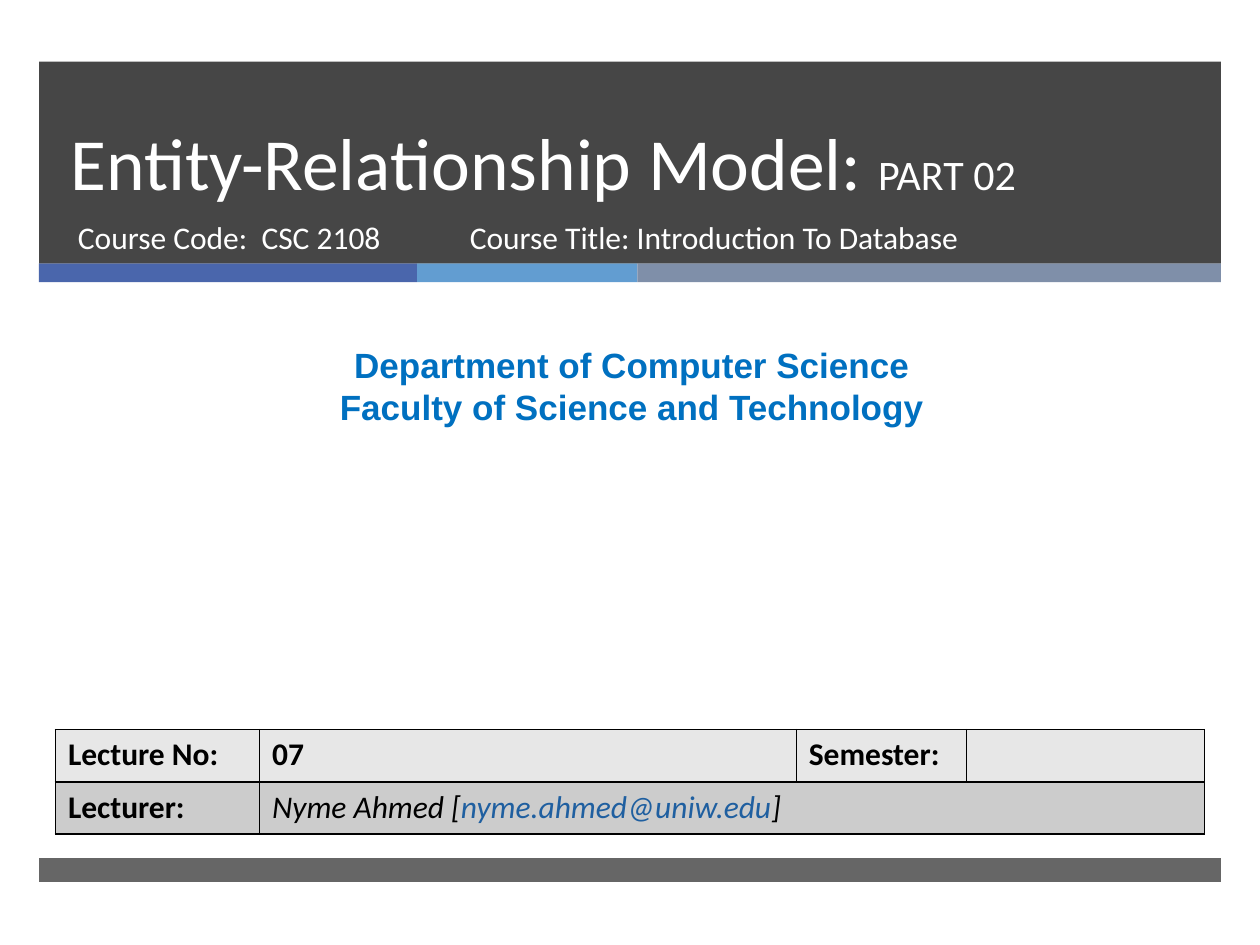
from dataclasses import dataclass

from lxml.etree import SubElement
from pptx import Presentation
from pptx.dml.color import RGBColor
from pptx.enum.shapes import MSO_SHAPE
from pptx.enum.text import MSO_ANCHOR, PP_ALIGN
from pptx.oxml.ns import qn
from pptx.util import Inches, Pt


@dataclass(frozen=True)
class Theme:
    dark: str = "262626"
    white: str = "FFFFFF"
    black: str = "000000"
    heading: str = "0070C0"
    link: str = "1F5FA0"
    accents: tuple = ("4A66AC", "629DD1", "7F8FA9")
    row_fills: tuple = ("E7E7E7", "CCCCCC")
    body_font: str = "Calibri"
    heading_font: str = "Arial"
    title_size: int = 42
    part_size: int = 24
    heading_size: int = 20
    body_size: int = 18


THEME = Theme()


def style(font, color, size=THEME.body_size, name=THEME.body_font, bold=False):
    font.name, font.size, font.bold = name, Pt(size), bold
    font.color.rgb = RGBColor.from_string(color)


def add_bar(slide, left, top, width, height, color, opacity=100):
    """Add a borderless rectangle; opacity is in percent."""
    bar = slide.shapes.add_shape(
        MSO_SHAPE.RECTANGLE, Inches(left), Inches(top), Inches(width), Inches(height))
    bar.shadow.inherit = False
    bar.line.fill.background()
    bar.fill.solid()
    bar.fill.fore_color.rgb = RGBColor.from_string(color)
    if opacity < 100:
        color_element = bar._element.spPr.find(f"{qn('a:solidFill')}/{qn('a:srgbClr')}")
        SubElement(color_element, qn("a:alpha"), val=str(opacity * 1000))


def add_text_box(slide, left, top, width, height, anchor=MSO_ANCHOR.TOP):
    box = slide.shapes.add_textbox(
        Inches(left), Inches(top), Inches(width), Inches(height))
    frame = box.text_frame
    frame.word_wrap = True
    frame.vertical_anchor = anchor
    return frame


def add_header(slide, left, top, width, height):
    """Dark title band with the course details along its lower edge."""
    add_bar(slide, left, top, width, height, THEME.dark, 85)

    title = add_text_box(slide, left + 0.15, top, 8.54, 1.19, MSO_ANCHOR.BOTTOM)
    paragraph = title.paragraphs[0]
    paragraph.line_spacing = Pt(46)
    for text, size in (("Entity-Relationship Model: ", THEME.title_size),
                       ("PART 02", THEME.part_size)):
        run = paragraph.add_run()
        run.text = text
        style(run.font, THEME.white, size)

    details = (("Course Code:  CSC 2108", 0.21, 3.05),
               ("Course Title: Introduction To Database", 3.32, 4.55))
    for text, offset, detail_width in details:
        paragraph = add_text_box(
            slide, left + offset, top + 1.19, detail_width, 0.53).paragraphs[0]
        paragraph.text = text
        style(paragraph.font, THEME.white)


def add_accent_strip(slide, left, top, width, height):
    first, second = 3, 1.75
    for color, part in zip(THEME.accents, (first, second, width - first - second)):
        add_bar(slide, left, top, part, height, color)
        left += part


def add_department(slide, left, top, width, height):
    frame = add_text_box(slide, left, top, width, height)
    frame.text = "Department of Computer Science\nFaculty of Science and Technology"
    for paragraph in frame.paragraphs:
        paragraph.alignment = PP_ALIGN.CENTER
        style(paragraph.font, THEME.heading, THEME.heading_size,
              THEME.heading_font, bold=True)


def add_borders(cell):
    properties = cell._tc.get_or_add_tcPr()
    for index, side in enumerate(("lnL", "lnR", "lnT", "lnB")):
        line = properties.makeelement(qn(f"a:{side}"), {"w": str(Pt(1))})
        fill = SubElement(line, qn("a:solidFill"))
        SubElement(fill, qn("a:srgbClr"), val=THEME.black)
        properties.insert(index, line)


def add_lecture_table(slide, left, top, width, height):
    column_widths = (1.62, 4.26, 1.35, 1.89)
    table = slide.shapes.add_table(
        2, len(column_widths), Inches(left), Inches(top),
        Inches(width), Inches(height)).table
    for column, column_width in zip(table.columns, column_widths):
        column.width = Inches(column_width)

    rows = (("Lecture No:", "07", "Semester:", ""), ("Lecturer:", "", "", ""))
    for row, texts, fill in zip(table.rows, rows, THEME.row_fills):
        for cell, text in zip(row.cells, texts):
            cell.fill.solid()
            cell.fill.fore_color.rgb = RGBColor.from_string(fill)
            add_borders(cell)
            paragraph = cell.text_frame.paragraphs[0]
            paragraph.text = text
            style(paragraph.font, THEME.black, bold=True)

    lecturer = table.cell(1, 1)
    lecturer.merge(table.cell(1, 3))
    paragraph = lecturer.text_frame.paragraphs[0]
    for text, color in (("Nyme Ahmed [", THEME.black),
                        ("nyme.ahmed@uniw.edu", THEME.link),
                        ("]", THEME.black)):
        run = paragraph.add_run()
        run.text = text
        style(run.font, color)
        run.font.italic = True


def main():
    presentation = Presentation()
    presentation.slide_width, presentation.slide_height = Inches(10), Inches(7.5)
    slide = presentation.slides.add_slide(presentation.slide_layouts[6])

    left, width = 0.31, 9.38
    add_accent_strip(slide, left, 2.09, width, 0.15)
    add_header(slide, left, 0.49, width, 1.6)
    add_bar(slide, left, 6.81, width, 0.19, THEME.dark, 70)
    add_department(slide, 0.08, 2.68, 9.87, 0.77)
    add_lecture_table(slide, 0.44, 5.79, 9.12, 0.83)
    presentation.save("out.pptx")


if __name__ == "__main__":
    main()
